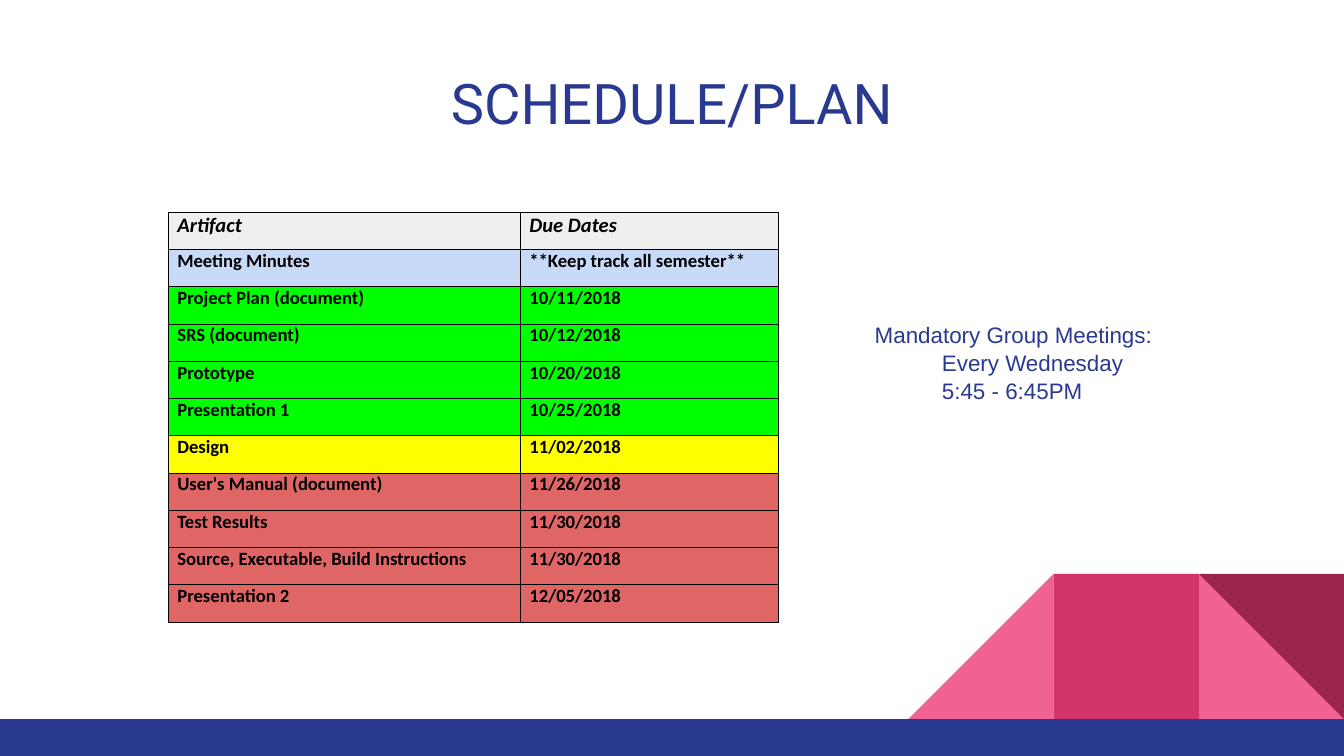
from lxml import etree
from pptx import Presentation
from pptx.dml.color import RGBColor
from pptx.enum import shapes, text
from pptx.oxml import ns
from pptx.util import Inches, Pt

COLORS = {
    "navy": "2A3990", "pink": "F06292", "rose": "D23369", "wine": "9C254D",
    "black": "000000", "header": "EFEFEF", "ongoing": "C9DAF8",
    "done": "00FF00", "current": "FFFF00", "pending": "E06666",
}

SCHEDULE = [
    ("Artifact", "Due Dates", "header"),
    ("Meeting Minutes", "**Keep track all semester**", "ongoing"),
    ("Project Plan (document)", "10/11/2018", "done"),
    ("SRS (document)", "10/12/2018", "done"),
    ("Prototype", "10/20/2018", "done"),
    ("Presentation 1", "10/25/2018", "done"),
    ("Design", "11/02/2018", "current"),
    ("User's Manual (document)", "11/26/2018", "pending"),
    ("Test Results", "11/30/2018", "pending"),
    ("Source, Executable, Build Instructions", "11/30/2018", "pending"),
    ("Presentation 2", "12/05/2018", "pending"),
]


def rgb(name):
    return RGBColor.from_string(COLORS[name])


class SlideBuilder:
    def __init__(self, page):
        self.page = page

    def shape(self, kind, left, top, width, height, color, rotation=0, flipped=False):
        shape = self.page.shapes.add_shape(
            kind, Inches(left), Inches(top), Inches(width), Inches(height))
        shape.shadow.inherit = False
        shape.fill.solid()
        shape.fill.fore_color.rgb = rgb(color)
        shape.line.fill.background()
        shape.rotation = rotation
        if flipped:
            shape.element.spPr.get_or_add_xfrm().set("flipH", "1")

    def span(self, para, words, size, font, color, bold=False, italic=False):
        span = para.add_run()
        span.text = words
        span.font.size = Pt(size)
        span.font.name = font
        span.font.color.rgb = rgb(color)
        span.font.bold = bold
        span.font.italic = italic

    def text(self, left, top, width, height, lines, size, font, align, spacing=1.0):
        box = self.page.shapes.add_textbox(
            Inches(left), Inches(top), Inches(width), Inches(height))
        frame = box.text_frame
        frame.word_wrap = True
        frame.margin_left = frame.margin_right = Inches(0.1)
        frame.margin_top = frame.margin_bottom = Inches(0.1)
        for index, (words, indent) in enumerate(lines):
            para = frame.add_paragraph() if index else frame.paragraphs[0]
            para.alignment = align
            para.line_spacing = spacing
            if indent:
                para._p.get_or_add_pPr().set("marL", str(Inches(indent)))
            self.span(para, words, size, font, "navy")

    def cell(self, cell, words, color):
        cell.margin_left = cell.margin_right = Inches(0.07)
        cell.margin_top = cell.margin_bottom = 0
        heading = color == "header"
        self.span(cell.text_frame.paragraphs[0], words, 11 if heading else 10,
                  "Calibri", "black", bold=True, italic=heading)
        properties = cell._tc.get_or_add_tcPr()
        for side in ("a:lnL", "a:lnR", "a:lnT", "a:lnB"):
            border = etree.SubElement(properties, ns.qn(side), w=str(Pt(0.5)))
            fill = etree.SubElement(border, ns.qn("a:solidFill"))
            etree.SubElement(fill, ns.qn("a:srgbClr"), val=COLORS["black"])
        cell.fill.solid()
        cell.fill.fore_color.rgb = rgb(color)

    def table(self, left, top, widths, height, rows):
        table = self.page.shapes.add_table(
            len(rows), len(widths), Inches(left), Inches(top),
            Inches(sum(widths)), Inches(height)).table
        for column, width in zip(table.columns, widths):
            column.width = Inches(width)
        for index, (artifact, due, color) in enumerate(rows):
            table.rows[index].height = Inches(height / len(rows))
            for column, words in enumerate((artifact, due)):
                self.cell(table.cell(index, column), words, color)


def main():
    deck = Presentation()
    deck.slide_width, deck.slide_height = Inches(10), Inches(5.625)
    builder = SlideBuilder(deck.slides.add_slide(deck.slide_layouts[6]))

    kinds = shapes.MSO_SHAPE
    side, top = 1.08, 4.27
    right, middle, left = (10 - side * step for step in (1, 2, 3))
    builder.shape(kinds.RIGHT_TRIANGLE, right, top, side, side, "pink")
    builder.shape(kinds.RIGHT_TRIANGLE, left, top, side, side, "pink", flipped=True)
    builder.shape(kinds.RECTANGLE, middle, top, side, side, "rose")
    builder.shape(kinds.RIGHT_TRIANGLE, right, top, side, side, "wine", rotation=180)
    builder.shape(kinds.RECTANGLE, 0, top + side, 10, 0.28, "navy")

    builder.text(0.34, 0.41, 9.32, 0.63, [("SCHEDULE/PLAN", 0)],
                 30, "Roboto", text.PP_ALIGN.CENTER)
    builder.table(1.25, 1.58, (2.62, 1.92), 3.05, SCHEDULE)
    meetings = [("Mandatory Group Meetings:", 0), ("Every Wednesday", 0.5),
                ("5:45 - 6:45PM", 0.5)]
    builder.text(6.41, 2.28, 3.48, 1.06, meetings,
                 12, "Arial", text.PP_ALIGN.LEFT, spacing=1.05)

    deck.save("out.pptx")


if __name__ == "__main__":
    main()
